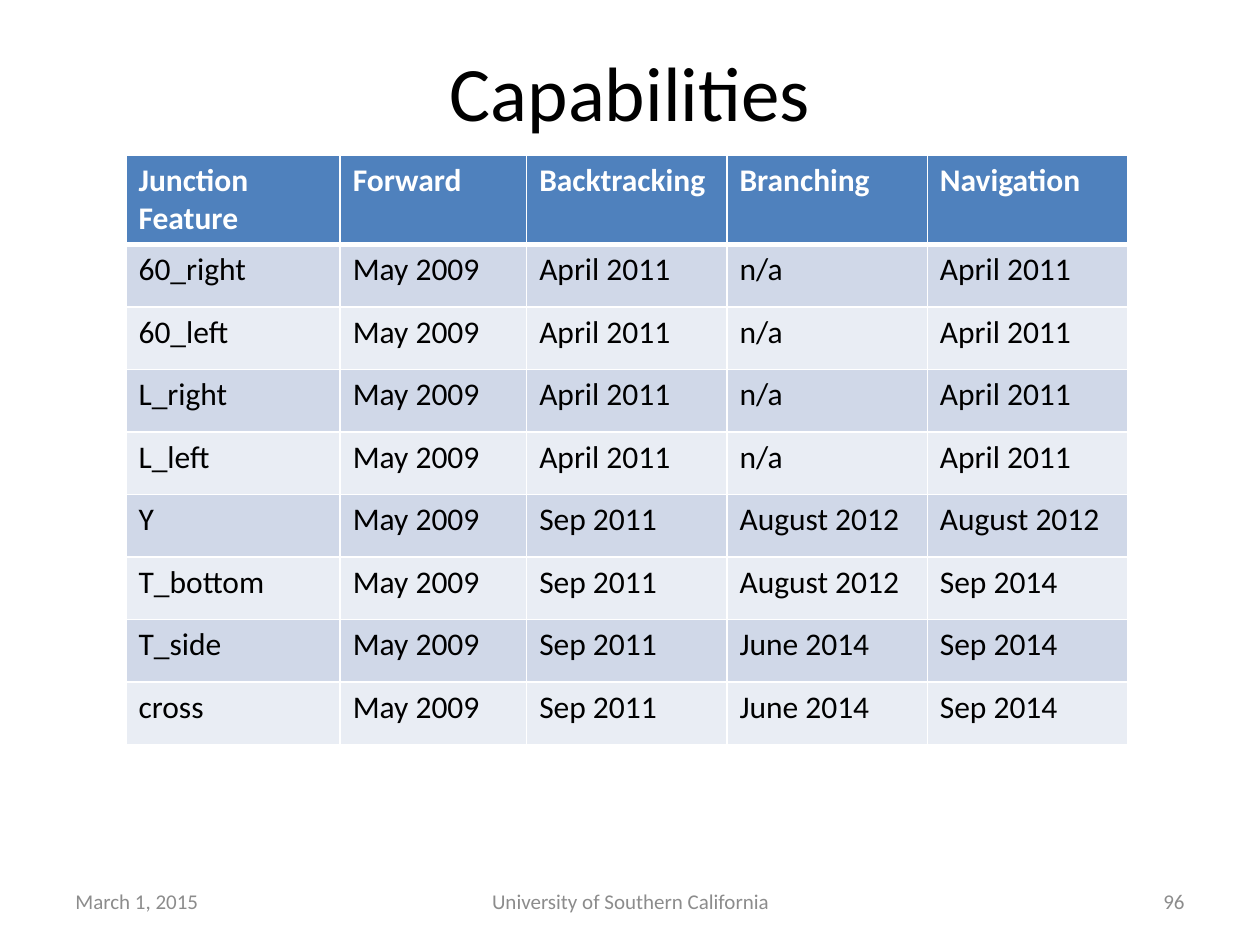
import pptx
import pptx.util
import pptx.dml.color
import pptx.enum.text
import pptx.oxml.ns
from dataclasses import dataclass
from lxml import etree
from pptx.util import Inches

Align = pptx.enum.text.PP_ALIGN
Anchor = pptx.enum.text.MSO_ANCHOR


@dataclass(frozen=True)
class Theme:
    face: str = "Calibri"
    black: str = "000000"
    white: str = "FFFFFF"
    gray: str = "8C8C8C"
    head: str = "4F81BD"
    bands: tuple = ("D0D8E8", "E9EDF4")
    title: int = 44
    body: int = 18
    foot: int = 12


theme = Theme()


def write(frame, text, size, color, align=Align.LEFT, bold=False):
    frame.text = text
    para = frame.paragraphs[0]
    para.alignment = align
    font = para.runs[0].font
    font.name = theme.face
    font.size = pptx.util.Pt(size)
    font.bold = bold
    font.color.rgb = pptx.dml.color.RGBColor.from_string(color)


def edge(cell, side, width):
    tag = pptx.oxml.ns.qn(f"a:ln{side}")
    line = etree.SubElement(cell._tc.get_or_add_tcPr(), tag, w=str(pptx.util.Pt(width)))
    fill = etree.SubElement(line, pptx.oxml.ns.qn("a:solidFill"))
    etree.SubElement(fill, pptx.oxml.ns.qn("a:srgbClr"), val=theme.white)


deck = pptx.Presentation()
deck.slide_width = Inches(10)
deck.slide_height = Inches(7.5)
slide = deck.slides.add_slide(deck.slide_layouts[5])

title = slide.shapes.title
title.left, title.top = Inches(0.5), Inches(0.3)
title.width, title.height = Inches(9), Inches(1.25)
title.text_frame.vertical_anchor = Anchor.TOP
write(title.text_frame, "Capabilities", theme.title, theme.black, Align.CENTER)

rows = [
    ("Junction Feature", "Forward", "Backtracking", "Branching", "Navigation"),
    ("60_right", "May 2009", "April 2011", "n/a", "April 2011"),
    ("60_left", "May 2009", "April 2011", "n/a", "April 2011"),
    ("L_right", "May 2009", "April 2011", "n/a", "April 2011"),
    ("L_left", "May 2009", "April 2011", "n/a", "April 2011"),
    ("Y", "May 2009", "Sep 2011", "August 2012", "August 2012"),
    ("T_bottom", "May 2009", "Sep 2011", "August 2012", "Sep 2014"),
    ("T_side", "May 2009", "Sep 2011", "June 2014", "Sep 2014"),
    ("cross", "May 2009", "Sep 2011", "June 2014", "Sep 2014"),
]
widths = [1.7, 1.48, 1.59, 1.59, 1.59]
high, top = 4.67, 0.7
step = (high - top) / (len(rows) - 1)

table = slide.shapes.add_table(
    len(rows), len(widths), Inches(1), Inches(1.23), Inches(sum(widths)), Inches(high)
).table
for col, width in zip(table.columns, widths):
    col.width = Inches(width)

for r, row in enumerate(rows):
    first = r == 0
    table.rows[r].height = Inches(top if first else step)
    shade = theme.head if first else theme.bands[(r - 1) % 2]
    color = theme.white if first else theme.black
    for c, text in enumerate(row):
        cell = table.cell(r, c)
        for side in "LRTB":
            thick = (first and side == "B") or (r == 1 and side == "T")
            edge(cell, side, 3 if thick else 1)
        cell.fill.solid()
        cell.fill.fore_color.rgb = pptx.dml.color.RGBColor.from_string(shade)
        write(cell.text_frame, text, theme.body, color, bold=first)

feet = [
    ("March 1, 2015", 0.5, 2.33, Align.LEFT),
    ("University of Southern California", 3.42, 3.17, Align.CENTER),
    ("96", 7.17, 2.33, Align.RIGHT),
]
for text, left, width, align in feet:
    box = slide.shapes.add_textbox(Inches(left), Inches(6.95), Inches(width), Inches(0.4))
    box.text_frame.word_wrap = True
    box.text_frame.vertical_anchor = Anchor.MIDDLE
    write(box.text_frame, text, theme.foot, theme.gray, align)

deck.save("out.pptx")
